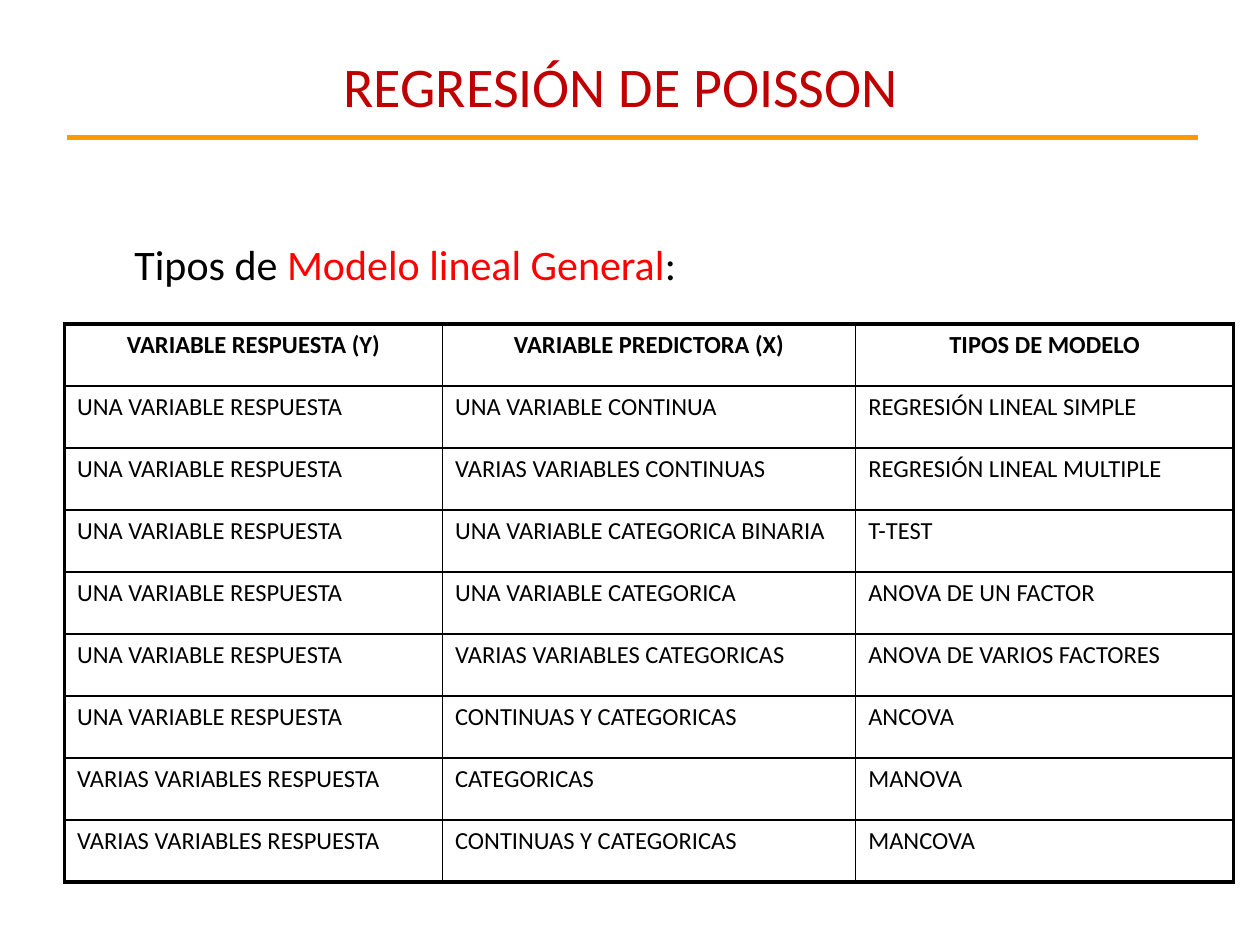
"""Builds a slide listing the types of general linear model in a ruled table."""
from dataclasses import dataclass

from lxml import etree
from pptx import Presentation
from pptx.dml.color import RGBColor
from pptx.enum.shapes import MSO_CONNECTOR
from pptx.enum.text import MSO_ANCHOR, PP_ALIGN
from pptx.oxml.ns import qn
from pptx.util import Cm, Pt

LEFT, CENTER = PP_ALIGN.LEFT, PP_ALIGN.CENTER
TOP, MIDDLE = MSO_ANCHOR.TOP, MSO_ANCHOR.MIDDLE
STRAIGHT = MSO_CONNECTOR.STRAIGHT
FONT = "Calibri"
COLORS = {"title": "C00000", "rule": "FF9900", "accent": "FF0000",
          "text": "000000", "paper": "FFFFFF"}
COLUMN_WIDTHS = (7.62, 8.33, 7.62)
ROW_HEIGHT = 1.25
OUTER_WIDTH, INNER_WIDTH = 2.25, 1


@dataclass(frozen=True)
class Model:
    response: str
    predictor: str
    kind: str

    def labels(self) -> tuple[str, str, str]:
        return self.response, self.predictor, self.kind


ONE, SEVERAL = "UNA VARIABLE RESPUESTA", "VARIAS VARIABLES RESPUESTA"
MIXED = "CONTINUAS Y CATEGORICAS"
MODELS = (
    Model("VARIABLE RESPUESTA (Y)", "VARIABLE PREDICTORA (X)", "TIPOS DE MODELO"),
    Model(ONE, "UNA VARIABLE CONTINUA", "REGRESIÓN LINEAL SIMPLE"),
    Model(ONE, "VARIAS VARIABLES CONTINUAS", "REGRESIÓN LINEAL MULTIPLE"),
    Model(ONE, "UNA VARIABLE CATEGORICA BINARIA", "T-TEST"),
    Model(ONE, "UNA VARIABLE CATEGORICA", "ANOVA DE UN FACTOR"),
    Model(ONE, "VARIAS VARIABLES CATEGORICAS", "ANOVA DE VARIOS FACTORES"),
    Model(ONE, MIXED, "ANCOVA"),
    Model(SEVERAL, "CATEGORICAS", "MANOVA"),
    Model(SEVERAL, MIXED, "MANCOVA"),
)


def rgb(name: str) -> RGBColor:
    return RGBColor.from_string(COLORS[name])


def write(paragraph, text: str, *, size: float, color: str = "text",
          bold: bool = False, align=LEFT) -> None:
    paragraph.alignment = align
    run = paragraph.add_run()
    run.text = text
    run.font.name = FONT
    run.font.size = Pt(size)
    run.font.bold = bold
    run.font.color.rgb = rgb(color)


def add_text_frame(slide, left: float, top: float, width: float, height: float, anchor):
    frame = slide.shapes.add_textbox(Cm(left), Cm(top), Cm(width), Cm(height)).text_frame
    frame.word_wrap = True
    frame.vertical_anchor = anchor
    return frame


def set_borders(cell, widths: dict[str, float]) -> None:
    properties = cell._tc.get_or_add_tcPr()
    for position, (side, width) in enumerate(widths.items()):
        line = etree.Element(qn(f"a:{side}"), w=str(Pt(width)))
        fill = etree.SubElement(line, qn("a:solidFill"))
        etree.SubElement(fill, qn("a:srgbClr"), val=COLORS["text"])
        properties.insert(position, line)


def add_model_table(slide, left: float, top: float) -> None:
    last_row, last_column = len(MODELS) - 1, len(COLUMN_WIDTHS) - 1
    table = slide.shapes.add_table(
        len(MODELS), len(COLUMN_WIDTHS), Cm(left), Cm(top),
        Cm(sum(COLUMN_WIDTHS)), Cm(ROW_HEIGHT * len(MODELS))).table
    for column, width in zip(table.columns, COLUMN_WIDTHS):
        column.width = Cm(width)
    for r, model in enumerate(MODELS):
        table.rows[r].height = Cm(ROW_HEIGHT)
        header = r == 0
        for c, label in enumerate(model.labels()):
            cell = table.cell(r, c)
            cell.fill.solid()
            cell.fill.fore_color.rgb = rgb("paper")
            write(cell.text_frame.paragraphs[0], label, size=14,
                  bold=header, align=CENTER if header else LEFT)
            edges = {"lnL": c == 0, "lnR": c == last_column,
                     "lnT": header, "lnB": r == last_row}
            set_borders(cell, {side: OUTER_WIDTH if outer else INNER_WIDTH
                               for side, outer in edges.items()})


def add_title_rule(slide, left: float, right: float, height: float) -> None:
    rule = slide.shapes.add_connector(STRAIGHT, Cm(left), Cm(height), Cm(right), Cm(height))
    rule.line.color.rgb = rgb("rule")
    rule.line.width = Pt(3)
    etree.SubElement(rule._element.spPr, qn("a:effectLst"))


def main() -> None:
    deck = Presentation()
    deck.slide_width, deck.slide_height = Cm(25.4), Cm(19.05)
    slide = deck.slides.add_slide(deck.slide_layouts[6])

    intro = add_text_frame(slide, 1.5, 4.52, 22.4, 9.19, TOP)
    intro.margin_left, intro.margin_top = Cm(1.21), Cm(0.28)
    for text, color in (("Tipos de ", "text"), ("Modelo lineal General", "accent"),
                        (":", "text")):
        write(intro.paragraphs[0], text, size=24, color=color)

    add_model_table(slide, 1.3, 6.53)
    add_title_rule(slide, 1.35, 24.15, 2.77)
    title = add_text_frame(slide, 1.09, 0.71, 22.86, 2.01, MIDDLE)
    write(title.paragraphs[0], "REGRESIÓN DE POISSON", size=32, color="title", align=CENTER)
    deck.save("out.pptx")


main()
